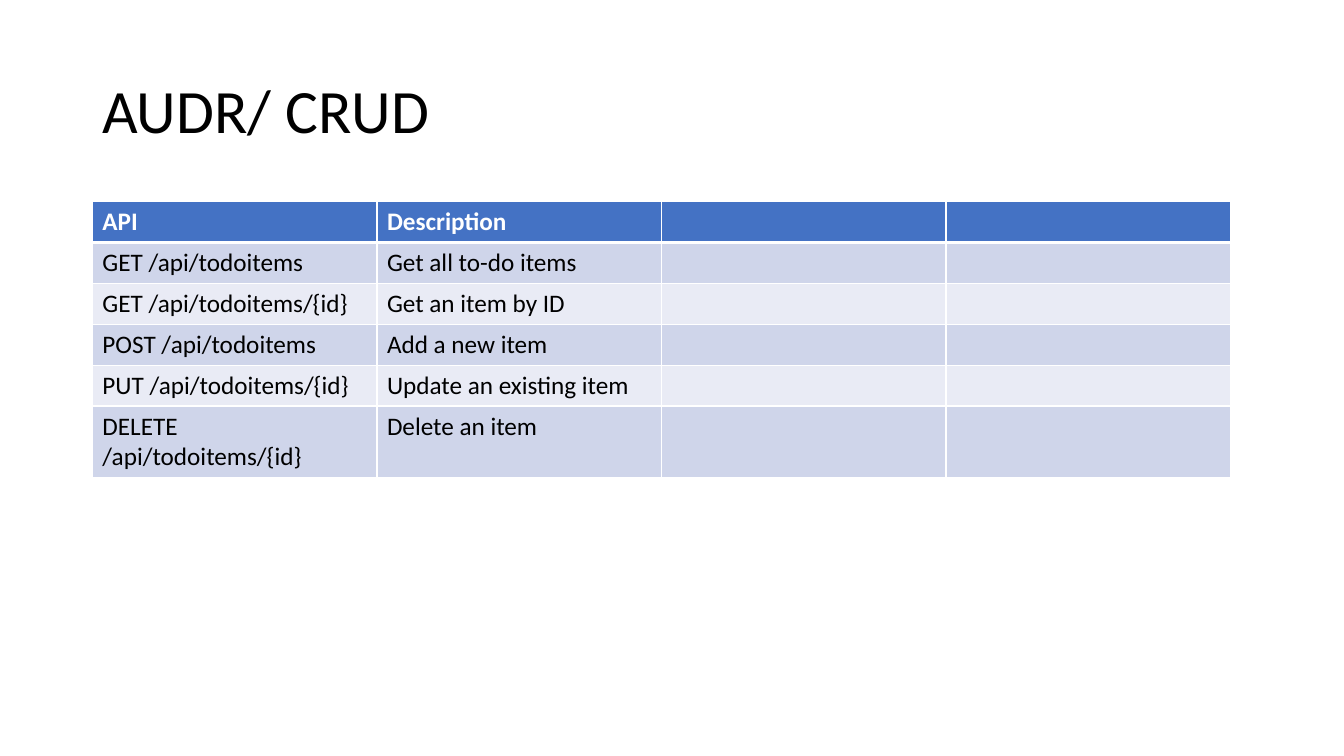
from lxml.etree import SubElement
from pptx import Presentation
from pptx.dml.color import RGBColor
from pptx.enum.text import MSO_VERTICAL_ANCHOR as Anchor
from pptx.oxml.ns import qn
from pptx.util import Pt

WHITE, BLACK, HEADER_BLUE = "FFFFFF", "000000", "4472C4"
BANDS = ("CFD5EA", "E9EBF5")
COLUMN_COUNT = 4
ROW_HEIGHT, TALL_ROW_HEIGHT = 29.2, 51.2
ENDPOINTS = [
    ("API", "Description"),
    ("GET /api/todoitems", "Get all to-do items"),
    ("GET /api/todoitems/{id}", "Get an item by ID"),
    ("POST /api/todoitems", "Add a new item"),
    ("PUT /api/todoitems/{id}", "Update an existing item"),
    ("DELETE /api/todoitems/{id}", "Delete an item"),
]


def color(value):
    """Turn a hex string into a colour."""
    return RGBColor.from_string(value)


def write(paragraph, text, size, fill, bold=False):
    """Put one formatted run into a paragraph."""
    run = paragraph.add_run()
    run.text = text
    for name, value in dict(name="Calibri", size=Pt(size), bold=bold).items():
        setattr(run.font, name, value)
    run.font.color.rgb = color(fill)


def set_borders(cell, widths):
    """Draw white cell borders; widths maps the sides L, R, T, B to points."""
    properties = cell._tc.get_or_add_tcPr()
    for index, (side, width) in enumerate(widths.items()):
        line = SubElement(properties, qn(f"a:ln{side}"), w=str(Pt(width)))
        fill = SubElement(line, qn("a:solidFill"))
        SubElement(fill, qn("a:srgbClr"), val=WHITE)
        properties.insert(index, line)


def add_title(slide, box, text):
    """Add the slide title, centred vertically in its box."""
    frame = slide.shapes.add_textbox(*map(Pt, box)).text_frame
    frame.word_wrap = True
    frame.vertical_anchor = Anchor.MIDDLE
    frame.paragraphs[0].line_spacing = 0.9
    write(frame.paragraphs[0], text, 44, BLACK)


def add_endpoint_table(slide, box, endpoints):
    """Add the banded endpoint table with equal columns across its box."""
    table = slide.shapes.add_table(len(endpoints), COLUMN_COUNT, *map(Pt, box)).table
    for column in table.columns:
        column.width = Pt(box[2] / COLUMN_COUNT)
    for index, (row, texts) in enumerate(zip(table.rows, endpoints)):
        is_header = index == 0
        is_last = index == len(endpoints) - 1
        row.height = Pt(TALL_ROW_HEIGHT if is_last else ROW_HEIGHT)
        widths = dict(L=1, R=1, T=3 if index == 1 else 1, B=3 if is_header else 1)
        for cell in row.cells:
            cell.fill.solid()
            band = HEADER_BLUE if is_header else BANDS[(index - 1) % 2]
            cell.fill.fore_color.rgb = color(band)
            set_borders(cell, widths)
        for cell, text in zip(row.cells, texts):
            write(cell.text_frame.paragraphs[0], text, 18,
                  WHITE if is_header else BLACK, is_header)


def build():
    """Build the presentation and save it."""
    presentation = Presentation()
    presentation.slide_width, presentation.slide_height = Pt(960), Pt(540)
    slide = presentation.slides.add_slide(presentation.slide_layouts[6])
    add_title(slide, (66, 28.8, 828, 104.4), "AUDR/ CRUD")
    table_height = ROW_HEIGHT * (len(ENDPOINTS) - 1) + TALL_ROW_HEIGHT
    add_endpoint_table(slide, (66, 144, 813, table_height), ENDPOINTS)
    presentation.save("out.pptx")


build()
